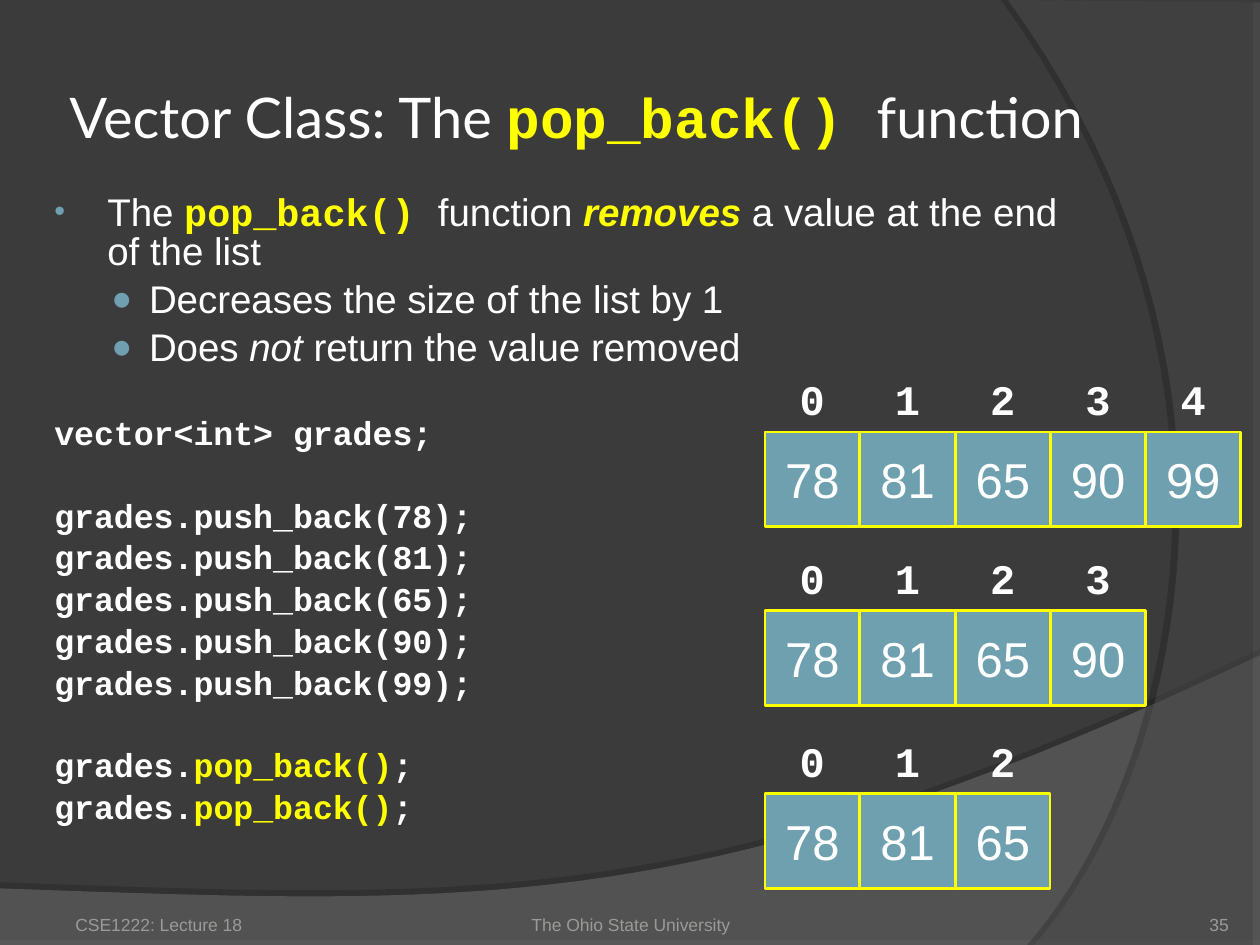
from lxml.etree import SubElement
from pptx import Presentation
from pptx.dml.color import RGBColor
from pptx.enum.shapes import MSO_SHAPE
from pptx.enum.text import MSO_ANCHOR, MSO_AUTO_SIZE, PP_ALIGN
from pptx.oxml.ns import qn
from pptx.util import Cm, Pt

WHITE, YELLOW, TEAL, GREY = "FFFFFF", "FFFF00", "6EA0B0", "9B9A98"
MONO = "Courier New"


def tint(color, code):
    color.rgb = RGBColor.from_string(code)


def put(par, runs, size, font="Arial", code=WHITE):
    """Add runs of (text, changes), where changes may set font, code, bold, italic."""
    for text, look in runs:
        run = par.add_run()
        run.text = text
        run.font.size = Pt(size)
        run.font.name = look.get("font", font)
        run.font.bold = look.get("bold", False)
        run.font.italic = look.get("italic", False)
        tint(run.font.color, look.get("code", code))


deck = Presentation()
deck.slide_width, deck.slide_height = Cm(25.4), Cm(19.05)
slide = deck.slides.add_slide(deck.slide_layouts[1])
shapes = slide.shapes
title, body = shapes.title, slide.placeholders[1]
slide.background.fill.solid()
tint(slide.background.fill.fore_color, "3B3B3B")

# Background waves: straight corners, then one cubic curve from the last corner
waves = [
    ([(0, 17.91), (0, 19.08), (25.4, 19.08), (25.4, 13.21)],
     [(14.2, 18.52), (9.93, 18.26), (0, 17.91)], "7C7C7C", 45, 35, 3.5, 270),
    ([(20.32, 0), (25.4, 0.05), (25.4, 19.05), (20.85, 19.05)],
     [(23.75, 15.72), (25.86, 7.62), (20.32, 0)], "595959", 40, 45, 4, 180),
]
for corners, bend, code, alpha, dark, dist, angle in waves:
    points = list(corners)
    for step in range(1, 41):
        t = step / 40
        weights = ((1 - t) ** 3, 3 * t * (1 - t) ** 2, 3 * t ** 2 * (1 - t), t ** 3)
        knots = [corners[-1]] + bend
        points.append([sum(w * k[axis] for w, k in zip(weights, knots)) for axis in (0, 1)])
    points = [(Cm(x), Cm(y)) for x, y in points]
    pen = shapes.build_freeform(*points[0])
    pen.add_line_segments(points[1:])
    wave = pen.convert_to_shape()
    wave.line.fill.background()
    wave.fill.solid()
    tint(wave.fill.fore_color, code)
    props = wave._element.spPr
    shade = props.find(".//" + qn("a:srgbClr"))
    SubElement(shade, qn("a:alpha"), val=str(alpha * 1000))
    effects = SubElement(props, qn("a:effectLst"))
    shadow = SubElement(effects, qn("a:outerShdw"), blurRad="0", dist=str(Pt(dist)),
                        dir=str(angle * 60000), algn="ctr", rotWithShape="0")
    black = SubElement(shadow, qn("a:srgbClr"), val="000000")
    SubElement(black, qn("a:alpha"), val=str(dark * 1000))

# Bring the placeholders in front of the waves
for holder in (title, body):
    shapes._spTree.append(holder._element)

title.left, title.top, title.width, title.height = Cm(1.27), Cm(0.76), Cm(22.86), Cm(3.18)
frame = title.text_frame
frame.auto_size = MSO_AUTO_SIZE.NONE
frame.vertical_anchor = MSO_ANCHOR.MIDDLE
frame.margin_left = frame.margin_right = frame.margin_top = frame.margin_bottom = Cm(0.13)
frame.paragraphs[0].alignment = PP_ALIGN.LEFT
call = {"font": MONO, "code": YELLOW, "bold": True}
put(frame.paragraphs[0],
    [("Vector Class: The ", {}), ("pop_back() ", call), ("function", {})], 32, "Lato")

body.left, body.top, body.width, body.height = Cm(0.74), Cm(3.81), Cm(21.16), Cm(13.03)
frame = body.text_frame
frame.auto_size = MSO_AUTO_SIZE.NONE
strong, slant = {"bold": True}, {"italic": True}
pop = [("grades.", strong), ("pop_back()", call), (";", strong)]
# Each line: kind, space before, runs
lines = [
    ("top", 0, [("The ", {}), ("pop_back() ", call), ("function ", {}),
                ("removes", {"code": YELLOW, "bold": True, "italic": True}),
                (" a value at the end of the list", {})]),
    ("sub", 5.5, [("Decreases the size of the list by 1", {})]),
    ("sub", 5.5, [("Does ", {}), ("not", slant), (" return the value removed", {})]),
    ("code", 28, [("vector<int> grades;", strong)]),
]
for grade in (78, 81, 65, 90, 99):
    lines.append(("code", 28 if grade == 78 else 4.8,
                  [(f"grades.push_back({grade});", strong)]))
lines += [("code", 28, pop), ("code", 4.8, pop)]
# Each kind: level, left margin, indent, bullet, bullet size, text size, font
kinds = {
    "top": (0, 1.17, -1.07, "•", 80, 22, "Arial"),
    "sub": (1, 2.01, -0.76, "●", 90, 22, "Arial"),
    "code": (0, 1.17, -1.07, None, 0, 19, MONO),
}
for row, (kind, gap, runs) in enumerate(lines):
    level, margin, indent, mark, share, size, font = kinds[kind]
    par = frame.add_paragraph() if row else frame.paragraphs[0]
    props = par._p.get_or_add_pPr()
    props.set("marL", str(Cm(margin)))
    props.set("indent", str(Cm(indent)))
    if mark:
        hue = SubElement(props, qn("a:buClr"))
        SubElement(hue, qn("a:srgbClr"), val=TEAL)
        SubElement(props, qn("a:buSzPct"), val=str(share * 1000))
        SubElement(props, qn("a:buFont"), typeface="Arial")
        SubElement(props, qn("a:buChar"), char=mark)
    else:
        SubElement(props, qn("a:buNone"))
    par.level = level
    par.line_spacing = 0.84
    par.space_before = Pt(gap)
    put(par, runs, size, font)

# Footer: text, left, width, side margin, alignment
footer = [
    ("CSE1222: Lecture 18", 1.27, 5.92, 0.25, PP_ALIGN.LEFT),
    ("The Ohio State University", 8.69, 8.05, 0, PP_ALIGN.CENTER),
    ("35", 22.66, 2.11, 0, PP_ALIGN.RIGHT),
]
for text, left, width, side, align in footer:
    frame = shapes.add_textbox(Cm(left), Cm(17.83), Cm(width), Cm(1.02)).text_frame
    frame.word_wrap = True
    frame.vertical_anchor = MSO_ANCHOR.BOTTOM
    frame.margin_left = frame.margin_right = Cm(side)
    frame.margin_bottom = 0
    frame.paragraphs[0].alignment = align
    put(frame.paragraphs[0], [(text, {})], 10, code=GREY)

# The vector before and after each pop: one row of indexed cells per state
grades = (78, 81, 65, 90, 99)
for top, count in ((8.71, 5), (12.31, 4), (16, 3)):
    group = shapes.add_group_shape()
    for index, grade in enumerate(grades[:count]):
        left = 15.42 + 1.92 * index
        cell = group.shapes.add_shape(MSO_SHAPE.RECTANGLE, Cm(left), Cm(top), Cm(1.91), Cm(1.91))
        cell.shadow.inherit = False
        cell.fill.solid()
        tint(cell.fill.fore_color, TEAL)
        tint(cell.line.color, YELLOW)
        cell.line.width = Pt(1.5)
        cell.text_frame.vertical_anchor = MSO_ANCHOR.MIDDLE
        cell.text_frame.paragraphs[0].alignment = PP_ALIGN.CENTER
        put(cell.text_frame.paragraphs[0], [(str(grade), {})], 28)
        label = group.shapes.add_textbox(Cm(left + 0.45), Cm(top - 1.3), Cm(1.02), Cm(1.27))
        label.text_frame.word_wrap = False
        label.text_frame.auto_size = MSO_AUTO_SIZE.SHAPE_TO_FIT_TEXT
        put(label.text_frame.paragraphs[0], [(str(index), strong)], 24, MONO)

deck.save("out.pptx")
